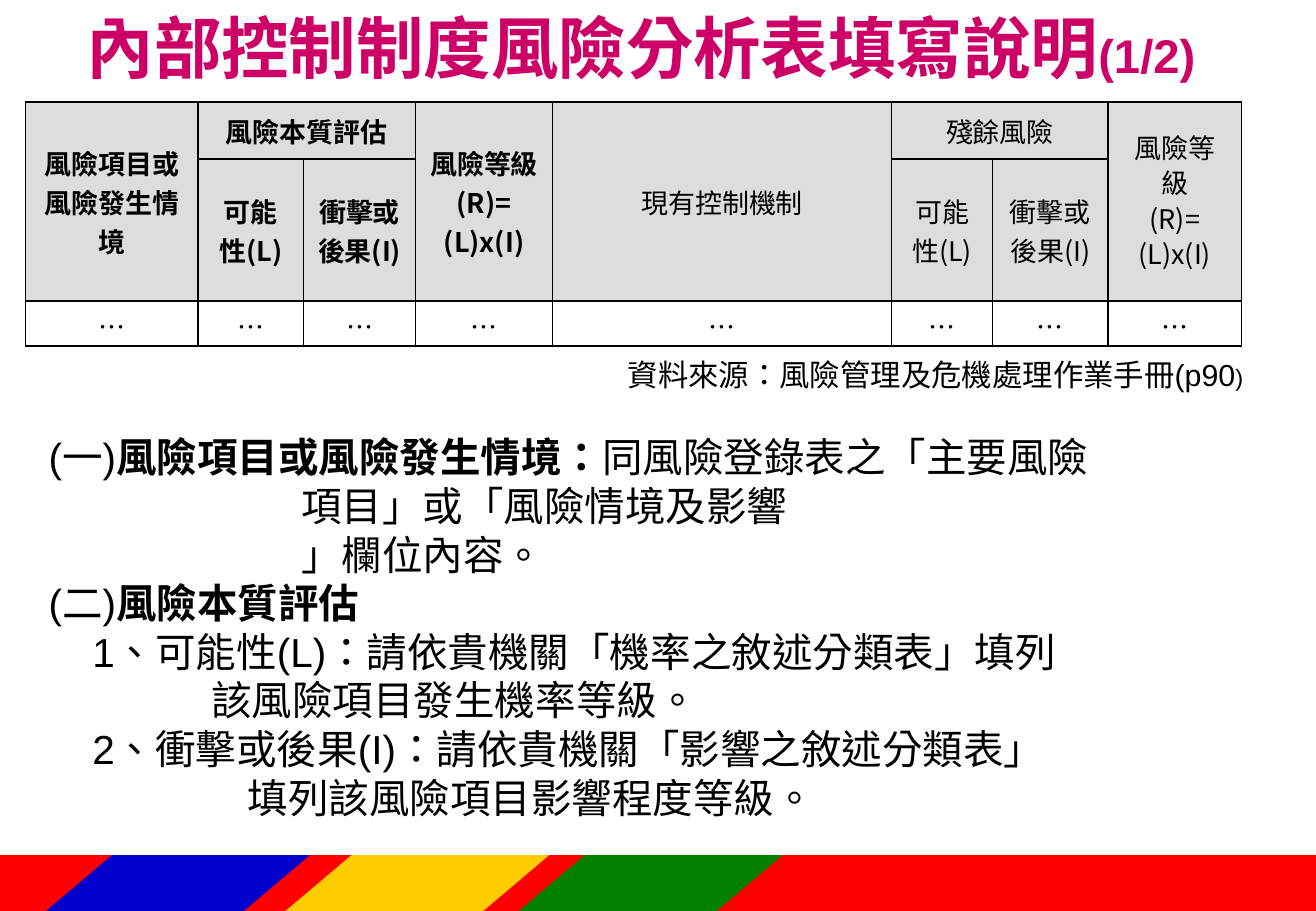
from lxml import etree
from pptx import Presentation
from pptx.dml.color import RGBColor
from pptx.enum.lang import MSO_LANGUAGE_ID
from pptx.enum.shapes import MSO_SHAPE
from pptx.enum.text import MSO_ANCHOR, MSO_AUTO_SIZE, PP_ALIGN
from pptx.oxml.ns import qn
from pptx.util import Inches, Pt

BLACK = RGBColor(0x00, 0x00, 0x00)
MAGENTA = RGBColor(0xCC, 0x00, 0x66)
GRAY = RGBColor(0xDD, 0xDD, 0xDD)
RED = RGBColor(0xFF, 0x00, 0x00)
YELLOW = RGBColor(0xFF, 0xCC, 0x00)
GREEN = RGBColor(0x00, 0x80, 0x00)
BLUE = RGBColor(0x00, 0x00, 0xCC)
ARIAL, NOTO = "Arial", "Noto Sans CJK SC"
CENTER, RIGHT, LEFT = PP_ALIGN.CENTER, PP_ALIGN.RIGHT, PP_ALIGN.LEFT
MIDDLE, TOP = MSO_ANCHOR.MIDDLE, MSO_ANCHOR.TOP
CHINESE = MSO_LANGUAGE_ID.TRADITIONAL_CHINESE

COL_WIDTHS = [1.42, 0.87, 0.92, 1.13, 2.79, 0.83, 0.95, 1.1]
ROW_HEIGHTS = [0.47, 1.17, 0.37]
BOLD_COLS = 4
LAST_COL = len(COL_WIDTHS) - 1
# (row, column): (row span, column span, paragraphs)
HEADERS = {
    (0, 0): (2, 1, ["風險項目或", "風險發生情境"]),
    (0, 1): (1, 2, ["風險本質評估"]),
    (0, 3): (2, 1, ["風險等級", "(R)= (L)x(I)"]),
    (0, 4): (2, 1, ["現有控制機制"]),
    (0, 5): (1, 2, ["殘餘風險"]),
    (0, LAST_COL): (2, 1, ["風險等級", "(R)= (L)x(I)"]),
    (1, 1): (1, 1, ["可能性(L)"]),
    (1, 2): (1, 1, ["衝擊或", "後果(I)"]),
    (1, 5): (1, 1, ["可能性(L)"]),
    (1, 6): (1, 1, ["衝擊或", "後果(I)"]),
}
# (first-line indent, continuation indent, [(text, bold)])
NOTES = [
    (0, 2.08, [("(一)", False), ("風險項目或風險發生情境：", True),
               ("同風險登錄表之「主要風險\v項目」或「風險情境及影響\v」欄位內容。", False)]),
    (0, 0, [("(二)", False), ("風險本質評估", True)]),
    (0.36, 1.34, [("1、可能性(L)：請依貴機關「機率之敘述分類表」填列\v該風險項目發生機率等級。", False)]),
    (0.36, 1.64, [("2、衝擊或後果(I)：請依貴機關「影響之敘述分類表」\v填列該風險項目影響程度等級。", False)]),
]


def add_text(p, text, size, bold=False, color=BLACK, font=ARIAL):
    """Append formatted runs to a paragraph; a vertical tab breaks the line."""
    for i, line in enumerate(text.split("\v")):
        if i:
            p.add_line_break()
        r = p.add_run()
        r.text = line
        r.font.name, r.font.size, r.font.bold = font, Pt(size), bold
        r.font.color.rgb = color
        r.font.language_id = CHINESE
        if font == NOTO:
            etree.SubElement(r.font._element, qn("a:ea")).set("typeface", font)


def next_paragraph(tf, i, align):
    p = tf.add_paragraph() if i else tf.paragraphs[0]
    p.alignment = align
    p.space_before = Pt(0)
    return p


def place(sp, left, top, width, height, anchor):
    sp.left, sp.top, sp.width, sp.height = map(Inches, (left, top, width, height))
    tf = sp.text_frame
    tf.word_wrap = True
    tf.auto_size = MSO_AUTO_SIZE.NONE
    tf.vertical_anchor = anchor
    return tf


def add_stripes(s, left, top, width, height):
    stripes = [(MSO_SHAPE.RECTANGLE, 0, width, RED)]
    stripes += [(MSO_SHAPE.PARALLELOGRAM, x, 2.17, color)
                for x, color in ((2.37, YELLOW), (4.29, GREEN), (0.4, BLUE))]
    for kind, x, w, color in stripes:
        sp = s.shapes.add_shape(kind, Inches(left + x), Inches(top), Inches(w), Inches(height))
        if kind == MSO_SHAPE.PARALLELOGRAM:
            sp.adjustments[0] = 1.18
        sp.shadow.inherit = False
        sp.fill.solid()
        sp.fill.fore_color.rgb = color
        sp.line.fill.background()


def add_title(s, left, top, width, height):
    tf = place(s.shapes.title, left, top, width, height, MIDDLE)
    p = next_paragraph(tf, 0, CENTER)
    add_text(p, "內部控制制度風險分析表填寫說明", 40, bold=True, color=MAGENTA)
    add_text(p, "(1/2)", 28, bold=True, color=MAGENTA)


def set_borders(cell):
    tc_pr = cell._tc.get_or_add_tcPr()
    for i, side in enumerate(("lnL", "lnR", "lnT", "lnB")):
        ln = etree.Element(qn(f"a:{side}"), w=str(Pt(1)))
        fill = etree.SubElement(ln, qn("a:solidFill"))
        etree.SubElement(fill, qn("a:srgbClr")).set("val", str(BLACK))
        tc_pr.insert(i, ln)


def fill_cell(cell, lines, bold, spacing=None):
    for i, line in enumerate(lines):
        p = next_paragraph(cell.text_frame, i, CENTER)
        p.line_spacing = spacing
        add_text(p, line, 16, bold=bold, font=NOTO)


def add_risk_table(s, left, top):
    frame = s.shapes.add_table(len(ROW_HEIGHTS), len(COL_WIDTHS), Inches(left), Inches(top),
                               Inches(sum(COL_WIDTHS)), Inches(sum(ROW_HEIGHTS)))
    table = frame.table
    table.first_row = table.horz_banding = False
    for col, width in zip(table.columns, COL_WIDTHS):
        col.width = Inches(width)
    for r, height in enumerate(ROW_HEIGHTS):
        table.rows[r].height = Inches(height)
        for c in range(len(COL_WIDTHS)):
            cell = table.cell(r, c)
            cell.vertical_anchor = MIDDLE
            cell.margin_left = cell.margin_right = Inches(0.11)
            if r < 2:
                cell.fill.solid()
                cell.fill.fore_color.rgb = GRAY
            else:
                cell.fill.background()
                cell.margin_top, cell.margin_bottom = Inches(0.04), Inches(0)
                fill_cell(cell, ["…"], False)
            set_borders(cell)
    for (r, c), (rows, cols, lines) in HEADERS.items():
        cell = table.cell(r, c)
        if rows * cols > 1:
            cell.merge(table.cell(r + rows - 1, c + cols - 1))
        spacing = None
        if c == LAST_COL:  # four lines have to fit the height of the second row
            cell.margin_top = cell.margin_bottom = Inches(0)
            spacing = Pt(20.8)
        fill_cell(cell, lines, c < BOLD_COLS, spacing)


def add_source_line(s, left, top, width, height):
    sp = s.shapes.add_textbox(0, 0, 0, 0)
    p = next_paragraph(place(sp, left, top, width, height, TOP), 0, RIGHT)
    add_text(p, "資料來源：風險管理及危機處理作業手冊(p90", 18)
    add_text(p, ")", 14)


def add_notes_list(s, left, top, width, height):
    tf = place(s.placeholders[1], left, top, width, height, TOP)
    for i, (first, hang, parts) in enumerate(NOTES):
        p = next_paragraph(tf, i, LEFT)
        p.line_spacing = Pt(28.8)
        p_pr = p._p.get_or_add_pPr()
        p_pr.set("marL", str(Inches(hang)))
        p_pr.set("indent", str(Inches(first - hang)))
        etree.SubElement(p_pr, qn("a:buNone"))
        for text, bold in parts:
            add_text(p, text, 24, bold=bold)


def main():
    prs = Presentation()
    prs.slide_width, prs.slide_height = Inches(10.83), Inches(7.5)
    s = prs.slides.add_slide(prs.slide_layouts[1])
    add_stripes(s, -0.02, 7.04, 10.85, 0.46)
    add_title(s, 0, 0, 10.55, 0.76)
    add_risk_table(s, 0.21, 0.84)
    add_source_line(s, 4.66, 2.88, 5.67, 0.4)
    add_notes_list(s, 0.3, 3.51, 9.73, 3.39)
    prs.save("out.pptx")


if __name__ == "__main__":
    main()
